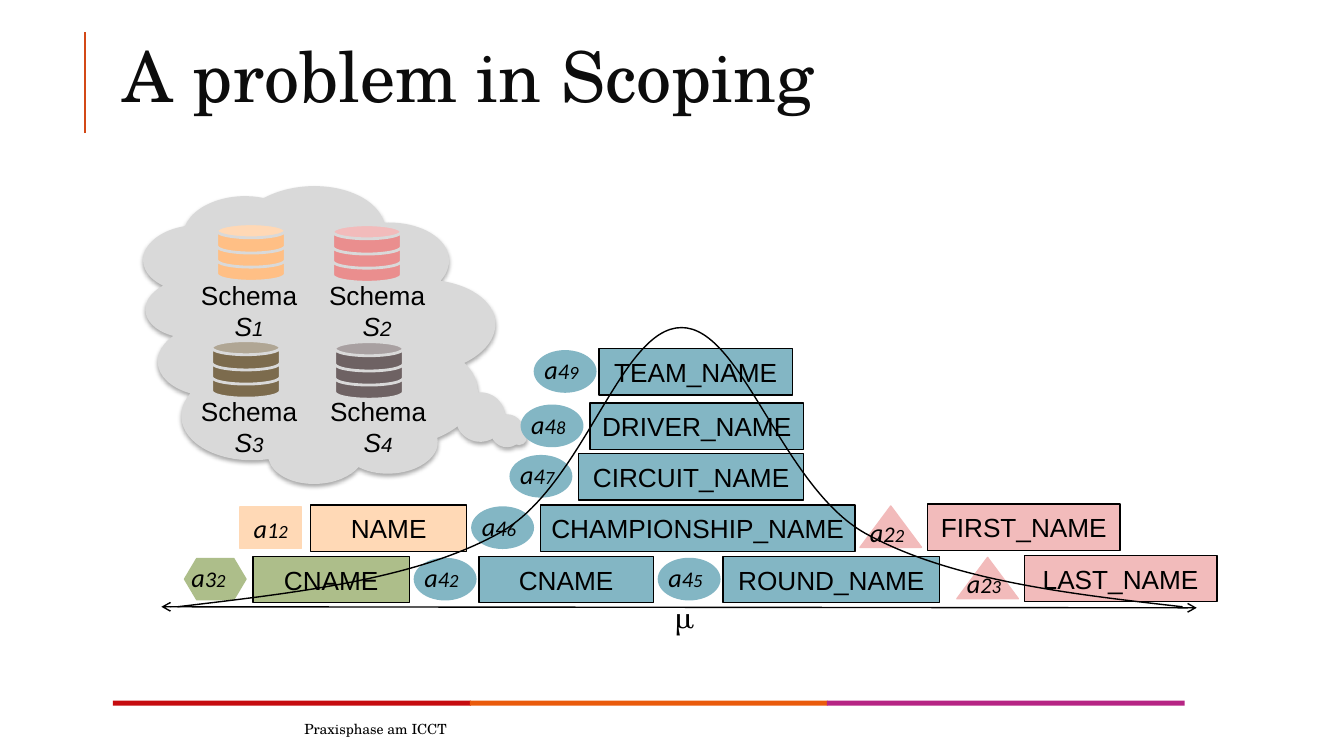
from lxml.etree import SubElement
from pptx import Presentation
from pptx.dml.color import RGBColor
from pptx.enum.shapes import MSO_CONNECTOR, MSO_SHAPE as SHAPE
from pptx.enum.text import MSO_ANCHOR as ANCHOR, PP_ALIGN as ALIGN
from pptx.oxml.ns import qn
from pptx.util import Pt

PX = 9144  # 100 px to the inch
SERIF, SANS, MATH = "TeX Gyre Schola", "Arial", "Calibri"
BLACK, GREY = "000000", "D9D9D9"
BLUE, PINK, PEACH, GREEN = "83B6C4", "F2BBBB", "FFD9B6", "ADBE8A"


def rgb(color):
    return RGBColor.from_string(color)


class Deck:
    """Holds the presentation, its current slide and the shared style."""

    def __init__(self, width, height):
        self.prs = Presentation()
        self.prs.slide_width, self.prs.slide_height = width * PX, height * PX
        self.s = self.prs.slides.add_slide(self.prs.slide_layouts[6])

    def set_text(self, sp, runs, align=ALIGN.CENTER, anchor=ANCHOR.MIDDLE, spacing=None):
        """Fill a shape with one paragraph; runs are (text, format) pairs."""
        tf = sp.text_frame
        tf.word_wrap, tf.vertical_anchor = True, anchor
        p = tf.paragraphs[0]
        p.alignment = align
        if spacing:
            p.line_spacing = spacing
        for text, fmt in runs:
            r = p.add_run()
            r.text = text
            r.font.color.rgb = rgb(fmt.get("color", BLACK))
            for key, value in fmt.items():
                if key != "color":
                    setattr(r.font, key, Pt(value) if key == "size" else value)

    def text(self, box, runs, **layout):
        sp = self.s.shapes.add_textbox(*(v * PX for v in box))
        self.set_text(sp, runs, **layout)

    def outline(self, sp, color, weight):
        sp.line.color.rgb, sp.line.width = rgb(color), Pt(weight)

    def shape(self, kind, box, fill, line=None, weight=1):
        sp = self.s.shapes.add_shape(kind, *(v * PX for v in box))
        sp.fill.solid()
        sp.fill.fore_color.rgb = rgb(fill)
        if line:
            self.outline(sp, line, weight)
        else:
            sp.line.fill.background()
        sp.shadow.inherit = False
        return sp

    def line(self, start, end, color, weight, arrows=()):
        ends = [v * PX for v in (*start, *end)]
        sp = self.s.shapes.add_connector(MSO_CONNECTOR.STRAIGHT, *ends)
        self.outline(sp, color, weight)
        ln = sp._element.spPr.find(qn("a:ln"))
        for tag in arrows:
            SubElement(ln, qn(tag), type="arrow")
        SubElement(sp._element.spPr, qn("a:effectLst"))

    def curve(self, start, points, color, weight):
        """Open Bezier curve: every three points make one segment."""
        fb = self.s.shapes.build_freeform(*start, scale=PX)
        fb.add_line_segments(points, close=False)
        sp = fb.convert_to_shape()
        sp.fill.background()
        self.outline(sp, color, weight)
        sp.shadow.inherit = False
        steps = list(sp._element.iter(qn("a:lnTo")))
        for i in range(0, len(steps), 3):
            first, *rest = steps[i:i + 3]
            bezier = SubElement(first.getparent(), qn("a:cubicBezTo"))
            for step in (first, *rest):
                bezier.append(step[0])
                step.getparent().remove(step)

    def cloud(self, box, rotation, tail):
        sp = self.shape(SHAPE.CLOUD_CALLOUT, box, GREY)
        sp.rotation = rotation
        for i, value in enumerate(tail):
            sp.adjustments[i] = value
        shadow = SubElement(sp._element.spPr.find(qn("a:effectLst")), qn("a:outerShdw"),
                            blurRad=str(Pt(3.1)), dist=str(Pt(1.8)), dir="5400000",
                            rotWithShape="0")
        color = SubElement(shadow, qn("a:srgbClr"), val=BLACK)
        SubElement(color, qn("a:alpha"), val="35000")

    def badge(self, x, y, kind, fill, label):
        """Attribute symbol such as a12, with the digits getting smaller."""
        sp = self.shape(kind, (x, y, 61, 41), fill, fill)
        style = {"name": MATH, "italic": True}
        runs = [(c, {**style, "size": size}) for c, size in zip(label, (18.7, 16, 13.3))]
        if kind in LABEL_BOX:
            dx, dy, w = LABEL_BOX[kind]
            self.text((x + dx, y + dy, w, 42), runs, align=ALIGN.LEFT, anchor=ANCHOR.TOP)
        else:
            self.set_text(sp, runs)

    def name_box(self, x, y, w, fill, name):
        sp = self.shape(SHAPE.RECTANGLE, (x, y, w, 46), fill, BLACK)
        self.set_text(sp, [(name, {"name": SANS, "size": 18.7})])

    def database(self, x, y, fill):
        for level in (2, 1, 0):
            sp = self.shape(SHAPE.CAN, (x, y + 14 * level, 68, 29), fill, GREY, 2)
            sp.adjustments[0] = 0.48

    def schema_label(self, x, y, number):
        style = {"name": SANS, "size": 18.7}
        self.text((x, y, 138, 73), [
            ("Schema ", style),
            ("S", {**style, "italic": True}),
            (number, {**style, "italic": True, "size": 14.7}),
        ], anchor=ANCHOR.TOP)


# Offset and width of the label for each badge outline
LABEL_BOX = {
    SHAPE.OVAL: (0, -2, 69),
    SHAPE.FLOWCHART_EXTRACT: (0, 5, 61),
    SHAPE.FLOWCHART_PREPARATION: (-3, -2, 66),
}

# Badge outline and colour for each schema number
SCHEMA_STYLE = {
    "1": (SHAPE.RECTANGLE, PEACH),
    "2": (SHAPE.FLOWCHART_EXTRACT, PINK),
    "3": (SHAPE.FLOWCHART_PREPARATION, GREEN),
    "4": (SHAPE.OVAL, BLUE),
}

# Symbol, badge x, box x, box y, box width, attribute name
ATTRIBUTES = [
    ("a49", 530, 594, 346, 192, "TEAM_NAME"),
    ("a48", 517, 585, 400, 212, "DRIVER_NAME"),
    ("a47", 506, 574, 450, 223, "CIRCUIT_NAME"),
    ("a12", 238, 308, 501, 155, "NAME"),
    ("a46", 468, 536, 501, 312, "CHAMPIONSHIP_NAME"),
    ("a22", 853, 920, 500, 191, "FIRST_NAME"),
    ("a32", 183, 251, 552, 155, "CNAME"),
    ("a42", 411, 475, 552, 173, "CNAME"),
    ("a45", 653, 717, 552, 215, "ROUND_NAME"),
    ("a23", 949, 1016, 551, 191, "LAST_NAME"),
]

# Schema number, database x and y, label x and y, colour
SCHEMAS = [
    ("1", 215, 222, 178, 272, "FFBF85"),
    ("2", 330, 223, 305, 272, "EA8E8E"),
    ("3", 210, 338, 178, 387, "7C6B4D"),
    ("4", 332, 339, 306, 387, "6E6263"),
]


def main():
    deck = Deck(1333, 750)

    # Title and footer
    deck.line((84, 132), (84, 32), "D34817", 1.5)
    deck.text((112, 34, 1063, 95),
              [("A problem in Scoping", {"name": SERIF, "size": 50, "color": "0C0C0C"})],
              align=ALIGN.LEFT, spacing=0.8)
    deck.text((292, 708, 883, 30), [("Praxisphase am ICCT", {"name": SERIF, "size": 10})],
              align=ALIGN.LEFT)
    for i, color in enumerate(("C60C0F", "EA5B0C", "B62584")):
        deck.shape(SHAPE.RECTANGLE, (112 + 354 * i, 695, 355, 5), color)

    # Cloud and axis
    deck.cloud((170, 159, 295, 346), 267.2, (-0.376, 0.555))
    deck.line((160, 602), (1187, 603), BLACK, 1, ("a:headEnd", "a:tailEnd"))
    deck.text((646, 589, 66, 46), [("μ", {"name": SERIF, "size": 21.3})], anchor=ANCHOR.TOP)

    # Attributes under the bell curve
    for symbol, badge_x, x, y, w, name in ATTRIBUTES:
        kind, fill = SCHEMA_STYLE[symbol[1]]
        deck.badge(badge_x, y + 2, kind, fill, symbol)
        deck.name_box(x, y, w, fill, name)
    deck.curve((176, 602), [
        (294, 588), (412, 575), (495, 529),
        (579, 483), (615, 325), (676, 325),
        (736, 325), (775, 482), (858, 529),
        (941, 575), (1057, 589), (1173, 602),
    ], BLACK, 1)

    # Schemas in the cloud
    for number, x, y, label_x, label_y, fill in SCHEMAS:
        deck.database(x, y, fill)
        deck.schema_label(label_x, label_y, number)

    deck.prs.save("out.pptx")


if __name__ == "__main__":
    main()
